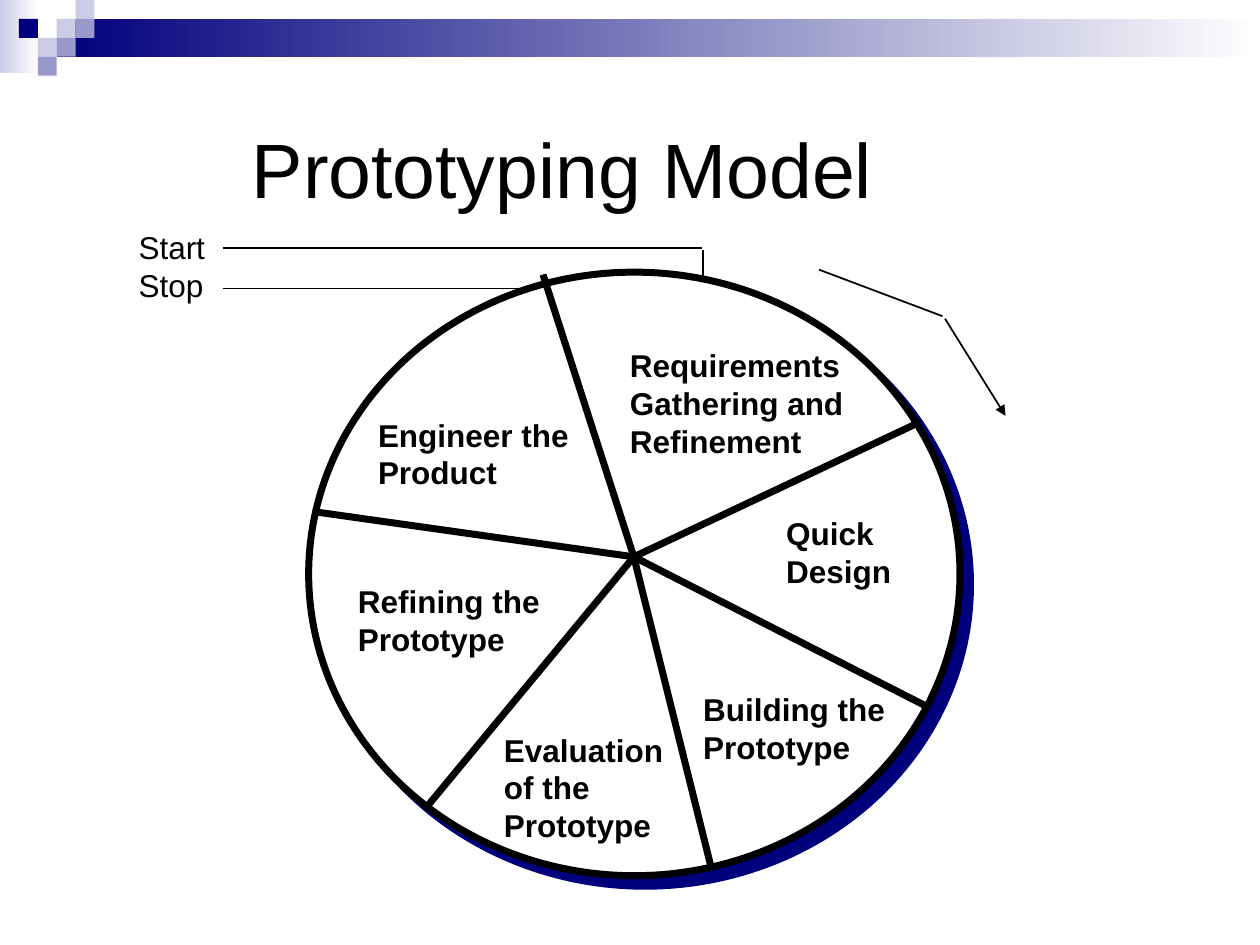
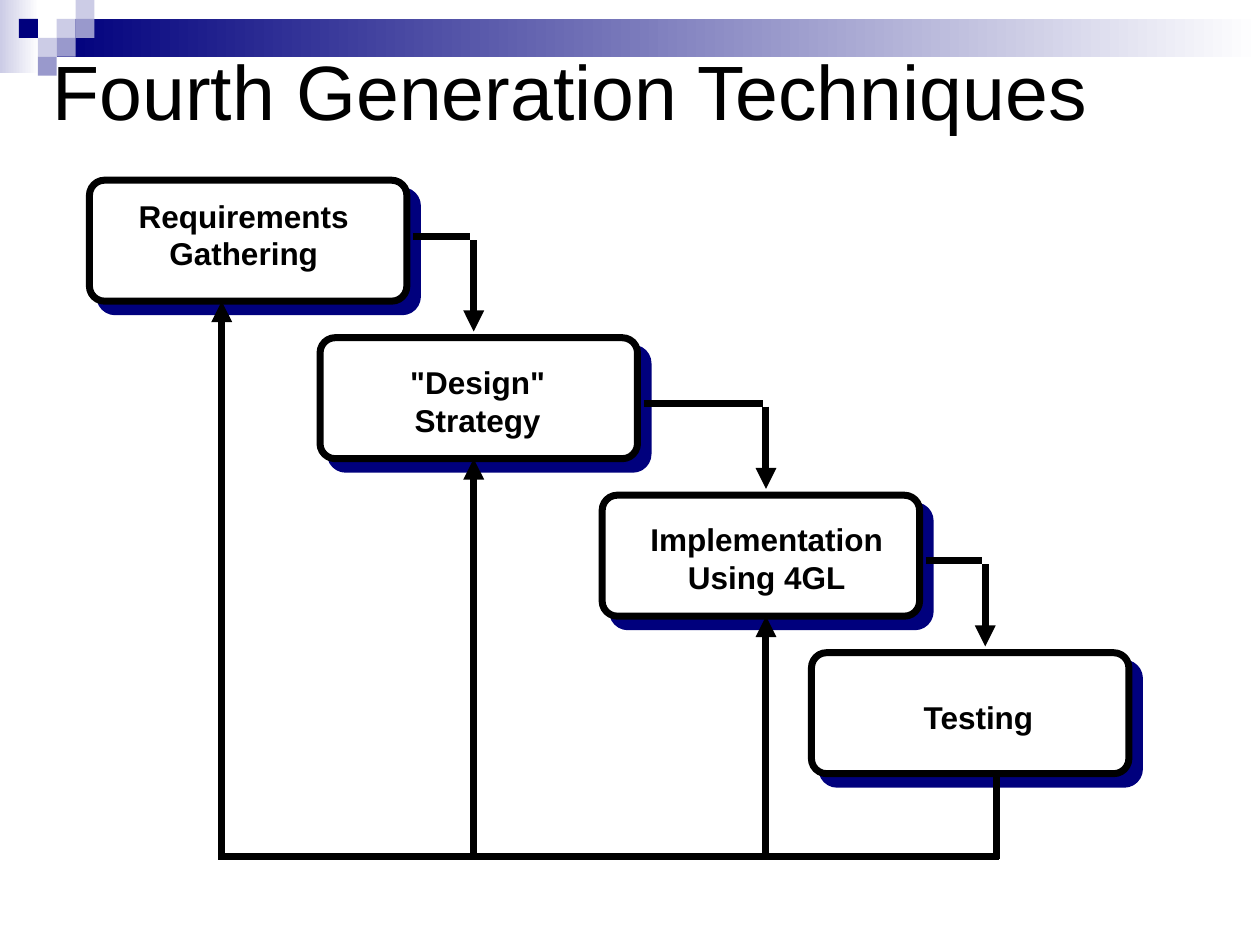
from collections import namedtuple

from lxml.etree import SubElement
from pptx import Presentation
from pptx.dml.color import RGBColor
from pptx.enum.shapes import MSO_CONNECTOR as Connector, MSO_SHAPE as Preset
from pptx.enum.text import MSO_ANCHOR as Anchor, PP_ALIGN as Align
from pptx.oxml.ns import qn
from pptx.util import Pt

Box = namedtuple("Box", "left top width height")

FONT = "Arial"
BLACK, WHITE = "000000", "FFFFFF"
NAVY, LILAC, PALE = "00007D", "9999CC", "CCCCE6"
HEAVY, THIN = 4, 1
TITLE_SIZE, LABEL_SIZE, LABEL_PITCH = 44, 18, 21.6
SLIDE = Box(0, 0, 720, 540)


def color(hex_string):
    return RGBColor.from_string(hex_string)


def inside(box, left, top, width=0, height=0):
    """Turn a place relative to a box into a place on the slide."""
    return Box(box.left + left, box.top + top, width, height)


def in_points(values):
    return [Pt(value) for value in values]


# ---- Basic parts ----

def add_panel(page, preset, box, fill, outline=False):
    shape = page.shapes.add_shape(preset, *in_points(box))
    shape.shadow.inherit = False
    shape.fill.solid()
    shape.fill.fore_color.rgb = color(fill)
    if outline:
        shape.line.color.rgb = color(BLACK)
        shape.line.width = Pt(HEAVY)
    else:
        shape.line.fill.background()
    return shape


def add_fade(page, box, tint):
    shape = add_panel(page, Preset.RECTANGLE, box, tint)
    shape.fill.gradient()
    shape.fill.gradient_angle = 180
    for stop, shade in zip(shape.fill.gradient_stops, (WHITE, tint)):
        stop.color.rgb = color(shade)


def add_shadowed(page, preset, box):
    shape = add_panel(page, preset, box, WHITE, outline=True)
    effects = shape._element.spPr.find(qn("a:effectLst"))
    shadow = SubElement(effects, qn("a:outerShdw"), dist=str(Pt(8.5)),
                        dir=str(45 * 60000), algn="ctr", rotWithShape="0")
    SubElement(shadow, qn("a:srgbClr"), val=NAVY)
    return shape


def add_line(page, box, start, end, weight=HEAVY, arrow=False):
    """Draw a line between two points relative to a box."""
    ends = inside(box, *start)[:2] + inside(box, *end)[:2]
    line = page.shapes.add_connector(Connector.STRAIGHT, *in_points(ends))
    line.line.color.rgb = color(BLACK)
    line.line.width = Pt(weight)
    properties = line._element.spPr
    if arrow:
        SubElement(properties.find(qn("a:ln")), qn("a:tailEnd"), type="triangle")
    SubElement(properties, qn("a:effectLst"))


def add_text(page, box, lines, size, margins, bold=False, align=Align.LEFT, pitch=None):
    frame = page.shapes.add_textbox(*in_points(box)).text_frame
    frame.margin_left = frame.margin_right = Pt(margins[0])
    frame.margin_top = frame.margin_bottom = Pt(margins[1])
    for index, line in enumerate(lines):
        para = frame.add_paragraph() if index else frame.paragraphs[0]
        para.alignment = align
        if pitch:
            para.line_spacing = Pt(pitch)
        span = para.add_run()
        span.text = line
        span.font.name = FONT
        span.font.size = Pt(size)
        span.font.bold = bold
        span.font.color.rgb = color(BLACK)
    return frame


def add_label(page, box, left, top, width, lines, bold=True, align=Align.LEFT):
    place = inside(box, left, top, width, LABEL_PITCH * len(lines) + 2.88)
    frame = add_text(page, place, lines, LABEL_SIZE, (3.6, 1.44), bold, align, LABEL_PITCH)
    frame.word_wrap = False


# ---- Shared by both slides ----

def add_header(page, box):
    cell = 10.8
    add_fade(page, inside(box, 0, 0, 22.3, 41.8), PALE)
    add_fade(page, inside(box, 3 * cell, cell, box.width - 3 * cell, 2 * cell), NAVY)
    mosaic = [(3, 1, PALE), (4, 0, PALE), (4, 1, LILAC), (2, 2, PALE),
              (1, 1, NAVY), (3, 2, LILAC), (2, 3, LILAC)]
    for column, row, fill in mosaic:
        square = inside(box, column * cell, row * cell, cell, cell)
        add_panel(page, Preset.RECTANGLE, square, fill)


def add_page(deck, title, title_box):
    page = deck.slides.add_slide(deck.slide_layouts[6])
    add_header(page, SLIDE)
    frame = add_text(page, title_box, [title], TITLE_SIZE, (7.2, 3.6))
    frame.word_wrap = True
    frame.vertical_anchor = Anchor.BOTTOM
    return page


# ---- Prototyping wheel ----

def add_wheel(page, box):
    add_shadowed(page, Preset.OVAL, box)
    hub = (185.8, 162.7)
    rim = [(349.2, 85.7), (355, 249.1), (67.7, 305.3),
           (2.2, 136.8), (133.9, 1.4), (229.7, 339.1)]
    for point in rim:
        add_line(page, box, hub, point)

    phases = [
        (180, 41, 129.6, ["Requirements", "Gathering and", "Refinement"]),
        (269.3, 136.8, 67.7, ["Quick", "Design"]),
        (221.8, 237.6, 111.6, ["Building the", "Prototype"]),
        (108, 260.6, 98.6, ["Evaluation", "of the", "Prototype"]),
        (24.5, 175.7, 111.6, ["Refining the", "Prototype"]),
        (36, 80.6, 116.6, ["Engineer the", "Product"]),
    ]
    for phase in phases:
        add_label(page, box, *phase)

    # Clockwise direction arrow outside the rim
    add_line(page, box, (291.6, -1.4), (362.2, 25.2), THIN)
    add_line(page, box, (363.6, 26.6), (398.2, 82.1), THIN, arrow=True)


def add_entry_exit(page, box):
    add_label(page, box, 0, 0, box.width, ["Start", "Stop"], bold=False)
    for start, end in [((51.8, 13), (325.4, 13)),
                       ((326.2, 13.7), (326.2, 29.5)),
                       ((51.8, 36), (223.9, 36))]:
        add_line(page, box, start, end, THIN)


# ---- Staircase of steps with feedback ----

def add_staircase(page, box):
    width, height, rise, gap = 181.4, 69.1, 90, 3.6
    base = box.height
    # Step left; label left, top and width within the step; label lines
    steps = [
        (0, (24.5, 7.9, 127.4), ["Requirements", "Gathering"]),
        (131.8, (47.5, 13, 85), ['"Design"', "Strategy"]),
        (293, (23.8, 13, 140.4), ["Implementation", "Using 4GL"]),
        (412.6, (59.8, 24.5, 71.3), ["Testing"]),
    ]
    for index, (left, _, _) in enumerate(steps):
        step = inside(box, left, index * rise, width, height)
        add_shadowed(page, Preset.ROUNDED_RECTANGLE, step).adjustments[0] = 0.125

    # Forward arrows: drop column and exit height within the step
    for index, (column, exit_height) in enumerate([(219.6, 32.4), (386.6, 37.4), (511.9, 37.4)]):
        level = index * rise + exit_height
        add_line(page, box, (steps[index][0] + width + gap, level), (column - 1.9, level))
        add_line(page, box, (column, level + 1.9), (column, (index + 1) * rise - gap), arrow=True)

    # Feedback line from the last step back to the others
    add_line(page, box, (519.8, base), (73.4, base))
    for index, column in enumerate([75.6, 219.6, 386.6, 518.4]):
        add_line(page, box, (column, base + 1.4), (column, index * rise + height),
                 arrow=index < len(steps) - 1)

    for index, (left, place, lines) in enumerate(steps):
        step = inside(box, left, index * rise)
        add_label(page, step, *place, lines, align=Align.CENTER)


def main():
    deck = Presentation()
    deck.slide_width, deck.slide_height = Pt(SLIDE.width), Pt(SLIDE.height)

    page = add_page(deck, "Prototyping Model", Box(136.8, 65.5, 454.3, 60.5))
    add_wheel(page, Box(176.4, 155.5, 372.2, 344.9))
    add_entry_exit(page, Box(75.6, 128.9, 45.4, 46.1))

    page = add_page(deck, "Fourth Generation Techniques", Box(23, 31, 682.6, 50.4))
    add_staircase(page, Box(51.1, 103, 594, 386.6))

    deck.save("out.pptx")


if __name__ == "__main__":
    main()
